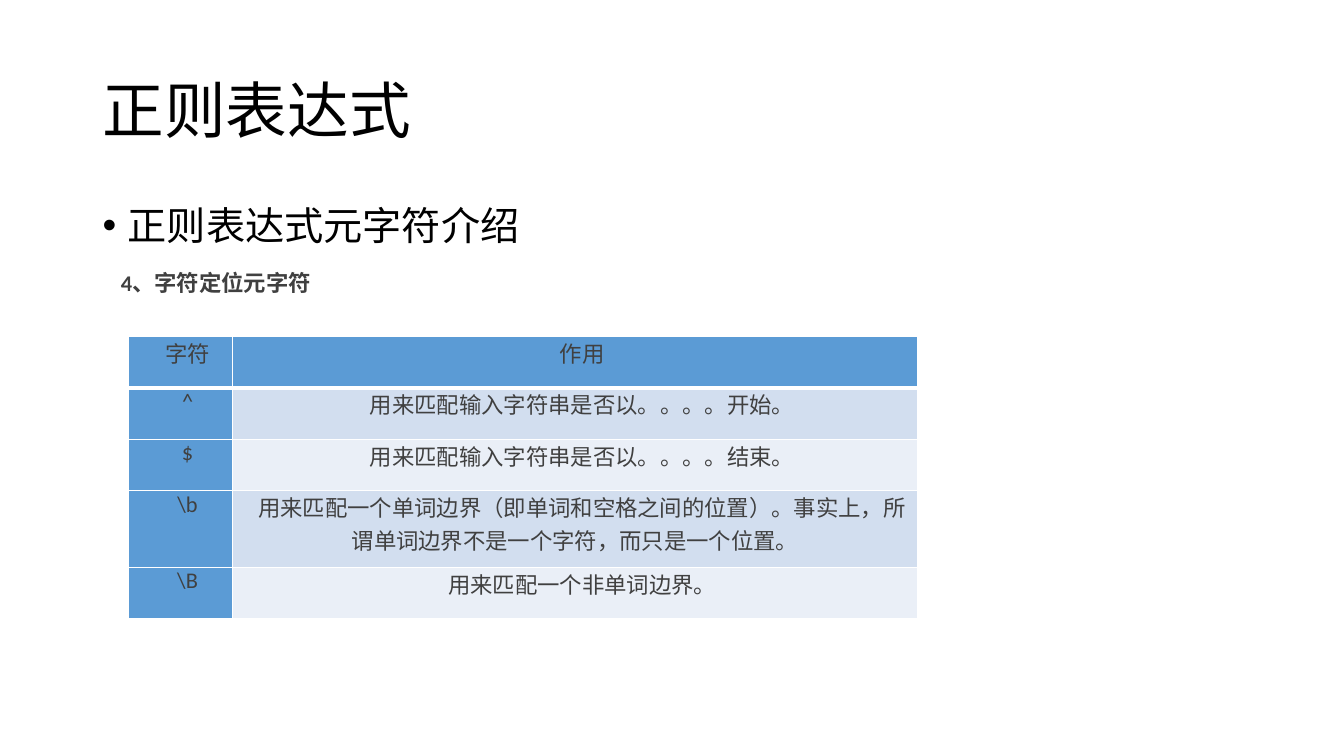
from lxml import etree
from pptx import Presentation
from pptx.dml.color import RGBColor
from pptx.enum.text import MSO_ANCHOR, PP_ALIGN
from pptx.oxml.ns import qn
from pptx.util import Inches, Pt

TOP, MIDDLE = MSO_ANCHOR.TOP, MSO_ANCHOR.MIDDLE
CENTER = PP_ALIGN.CENTER
BLACK = RGBColor(0x00, 0x00, 0x00)
GRAY = RGBColor(0x40, 0x40, 0x40)
WHITE = RGBColor(0xFF, 0xFF, 0xFF)
BLUE = RGBColor(0x5B, 0x9B, 0xD5)
BANDS = (RGBColor(0xD2, 0xDE, 0xEF), RGBColor(0xEA, 0xEF, 0xF7))

HEAD = {"size": Pt(44), "color": BLACK}
BODY = {"size": Pt(28), "color": BLACK}
NOTE = {"size": Pt(16), "color": GRAY, "bold": True}
CELL = {"size": Pt(16), "color": GRAY, "bold": False}

ROWS = (
    ("字符", "作用"),
    ("^", "用来匹配输入字符串是否以。。。。开始。"),
    ("$", "用来匹配输入字符串是否以。。。。结束。"),
    ("\\b", "用来匹配一个单词边界（即单词和空格之间的位置）。"
            "事实上，所谓单词边界不是一个字符，而只是一个位置。"),
    ("\\B", "用来匹配一个非单词边界。"),
)


class Page:
    def __init__(self, deck, face):
        self.slide = deck.slides.add_slide(deck.slide_layouts[6])
        self.face = face

    def style(self, para, form):
        para.font.name = self.face
        for key, value in form.items():
            if key == "color":
                para.font.color.rgb = value
            else:
                setattr(para.font, key, value)

    def indent(self, para, left, first):
        props = para._p.get_or_add_pPr()
        props.set("marL", str(Inches(left)))
        props.set("indent", str(Inches(first)))
        return props

    def text(self, box, words, form, space, anchor=TOP, bullet=None):
        frame = self.slide.shapes.add_textbox(*map(Inches, box)).text_frame
        frame.word_wrap = True
        frame.vertical_anchor = anchor
        para = frame.paragraphs[0]
        para.text = words
        para.line_spacing = space
        if bullet:
            props = self.indent(para, 0.25, -0.25)
            etree.SubElement(props, qn("a:buFont")).set("typeface", "Arial")
            etree.SubElement(props, qn("a:buChar")).set("char", bullet)
        self.style(para, form)

    def border(self, cell, widths):
        props = cell._tc.get_or_add_tcPr()
        for spot, (side, width) in enumerate(widths.items()):
            line = etree.Element(qn("a:ln" + side), w=str(Pt(width)))
            fill = etree.SubElement(line, qn("a:solidFill"))
            etree.SubElement(fill, qn("a:srgbClr")).set("val", str(WHITE))
            props.insert(spot, line)

    def cell(self, cell, words, fill, widths):
        for side, gap in {"left": 0.08, "right": 0.08, "top": 0, "bottom": 0}.items():
            setattr(cell, "margin_" + side, Inches(gap))
        cell.fill.solid()
        cell.fill.fore_color.rgb = fill
        self.border(cell, widths)
        para = cell.text_frame.paragraphs[0]
        para.text = words
        para.alignment = CENTER
        self.indent(para, 0, 0.14)
        self.style(para, CELL)

    def table(self, box, data, cols, rows):
        grid = self.slide.shapes.add_table(
            len(data), len(cols), *map(Inches, box)).table
        for col, width in zip(grid.columns, cols):
            col.width = Inches(width)
        for row, height in zip(grid.rows, rows):
            row.height = Inches(height)
        for r, line in enumerate(data):
            # Thick rule between the header and the rows
            widths = {"L": 1, "R": 1, "T": 3 if r == 1 else 1,
                      "B": 3 if r == 0 else 1}
            for c, words in enumerate(line):
                fill = BLUE if r == 0 or c == 0 else BANDS[(r - 1) % 2]
                self.cell(grid.cell(r, c), words, fill, widths)


def main():
    deck = Presentation()
    deck.slide_width, deck.slide_height = Inches(13.33), Inches(7.5)
    page = Page(deck, "Calibri")

    # Title and topic
    page.text((0.92, 0.4, 11.5, 1.45), "正则表达式", HEAD, 0.9, MIDDLE)
    page.text((0.92, 2, 11.5, 4.76), "正则表达式元字符介绍", BODY, 0.9, bullet="•")
    page.text((1.1, 2.49, 8.66, 0.5), "4、字符定位元字符", NOTE, 1.5)

    # Table of anchors
    page.table((1.27, 3.34, 7.83, 2.8), ROWS, (1.04, 6.79),
               (0.51, 0.51, 0.51, 0.76, 0.51))
    deck.save("out.pptx")


if __name__ == "__main__":
    main()
